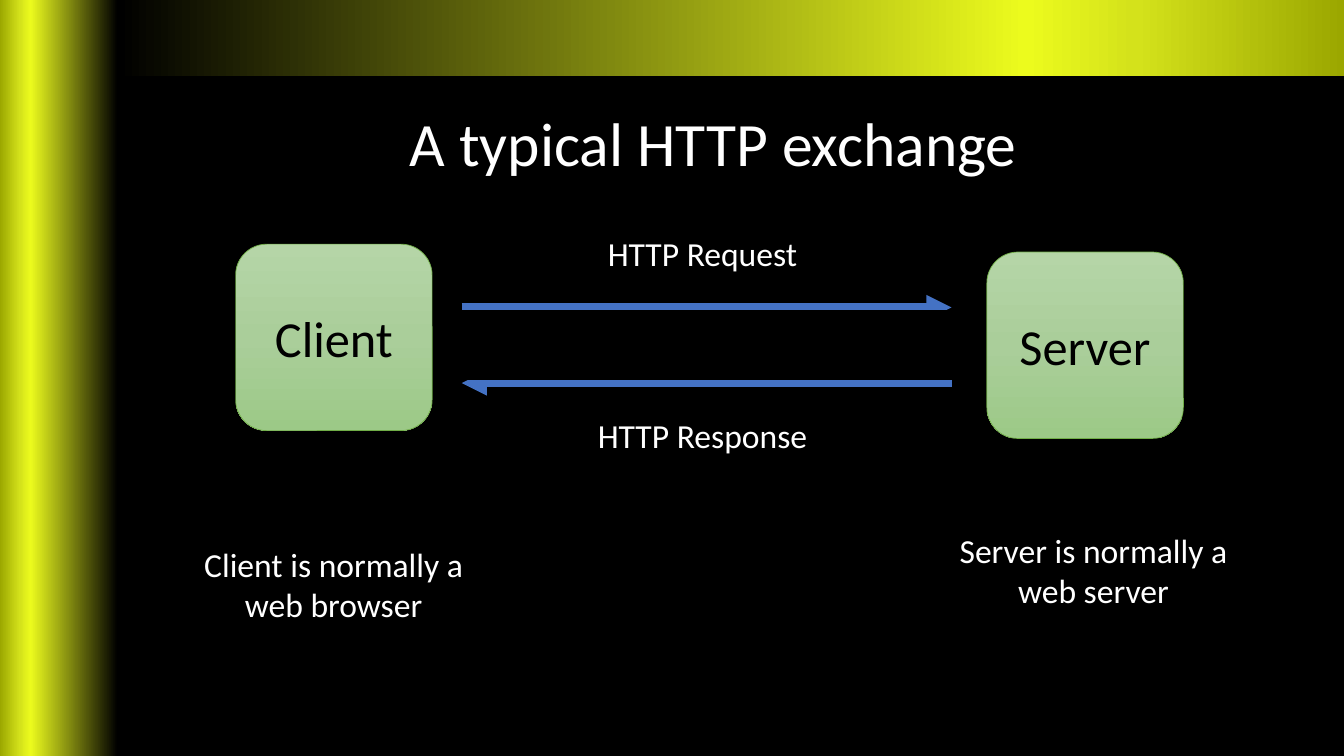
from dataclasses import dataclass

from lxml.etree import SubElement
from pptx import Presentation
from pptx.dml.color import RGBColor
from pptx.enum.shapes import MSO_CONNECTOR as CONN, MSO_SHAPE as SHAPE
from pptx.enum.text import MSO_ANCHOR as ANCHOR, PP_ALIGN as ALIGN
from pptx.oxml.ns import qn
from pptx.util import Pt


@dataclass(frozen=True)
class Theme:
    font: str = "Calibri"
    black: str = "000000"
    white: str = "FFFFFF"
    arrow: str = "4472C4"
    node_line: str = "70AD47"
    band: tuple = ((0, "000000"), (74, "ECFB1D"), (83, "D4E21B"), (100, "9BA700"))
    node: tuple = ((0, "B5D5A7"), (50, "AACE9A"), (100, "9CC987"))
    title_size: int = 44
    node_size: int = 36
    label_size: int = 24


theme = Theme()


def write(sp, text, size, color=theme.white, spacing=1.0, inset=3.6):
    tf = sp.text_frame
    tf.word_wrap = True
    tf.vertical_anchor = ANCHOR.MIDDLE
    tf.margin_left = tf.margin_right = Pt(7.2)
    tf.margin_top = tf.margin_bottom = Pt(inset)
    p = tf.paragraphs[0]
    p.alignment = ALIGN.CENTER
    p.line_spacing = spacing
    r = p.add_run()
    r.text = text
    r.font.name = theme.font
    r.font.size = Pt(size)
    r.font.color.rgb = RGBColor.from_string(color)


def add_box(kind, x, y, w, h, fill, line=None, line_width=1, angle=0):
    sp = s.shapes.add_shape(kind, Pt(x), Pt(y), Pt(w), Pt(h))
    sp.shadow.inherit = False
    if isinstance(fill, str):
        sp.fill.solid()
        sp.fill.fore_color.rgb = RGBColor.from_string(fill)
    else:
        sp.fill.gradient()
        sp.fill.gradient_angle = angle
        stops = sp._element.spPr.find(qn("a:gradFill")).find(qn("a:gsLst"))
        for stop in list(stops):
            stops.remove(stop)
        for pos, color in fill:
            stop = SubElement(stops, qn("a:gs"), pos=str(pos * 1000))
            SubElement(stop, qn("a:srgbClr"), val=color)
    if line:
        sp.line.color.rgb = RGBColor.from_string(line)
        sp.line.width = Pt(line_width)
    else:
        sp.line.fill.background()
    return sp


prs = Presentation()
prs.slide_width, prs.slide_height = Pt(960), Pt(540)
s = prs.slides.add_slide(prs.slide_layouts[6])
s.background.fill.solid()
s.background.fill.fore_color.rgb = RGBColor.from_string(theme.black)

add_box(SHAPE.RECTANGLE, 0, 0, 84, 540, theme.band, angle=180)
add_box(SHAPE.RECTANGLE, 84, 0, 876, 54, theme.band)

title = s.shapes.add_textbox(Pt(95.8), Pt(52.6), Pt(828), Pt(104.4))
write(title, "A typical HTTP exchange", theme.title_size, spacing=0.9)

for text, x, y in (("Server", 704.9, 180), ("Client", 168.3, 174.4)):
    node = add_box(SHAPE.ROUNDED_RECTANGLE, x, y, 140.4, 133.2, theme.node,
                   line=theme.node_line, line_width=0.5, angle=270)
    write(node, text, theme.node_size, color=theme.black)

client_end, server_end = 329.8, 679.7
for x1, x2, y in ((client_end, server_end, 219.6), (server_end, client_end, 273.6)):
    arrow = s.shapes.add_connector(CONN.STRAIGHT, Pt(x1), Pt(y), Pt(x2), Pt(y))
    arrow.line.color.rgb = RGBColor.from_string(theme.arrow)
    arrow.line.width = Pt(6)
    SubElement(arrow.line._get_or_add_ln(), qn("a:tailEnd"), type="triangle")
    SubElement(arrow._element.spPr, qn("a:effectLst"))

add_box(SHAPE.RECTANGLE, 322.6, 221.8, 364.3, 49, theme.black, line=theme.black)

labels = (
    ("HTTP Request", 377.3, 157, 46.8),
    ("HTTP Response", 377.3, 287.3, 46.8),
    ("Client is normally a web browser", 113.8, 342.7, 149),
    ("Server is normally a web server", 656.6, 332.6, 149),
)
for text, x, y, h in labels:
    label = add_box(SHAPE.ROUNDED_RECTANGLE, x, y, 249.1, h, theme.black)
    write(label, text, theme.label_size, inset=0)

prs.save("out.pptx")
